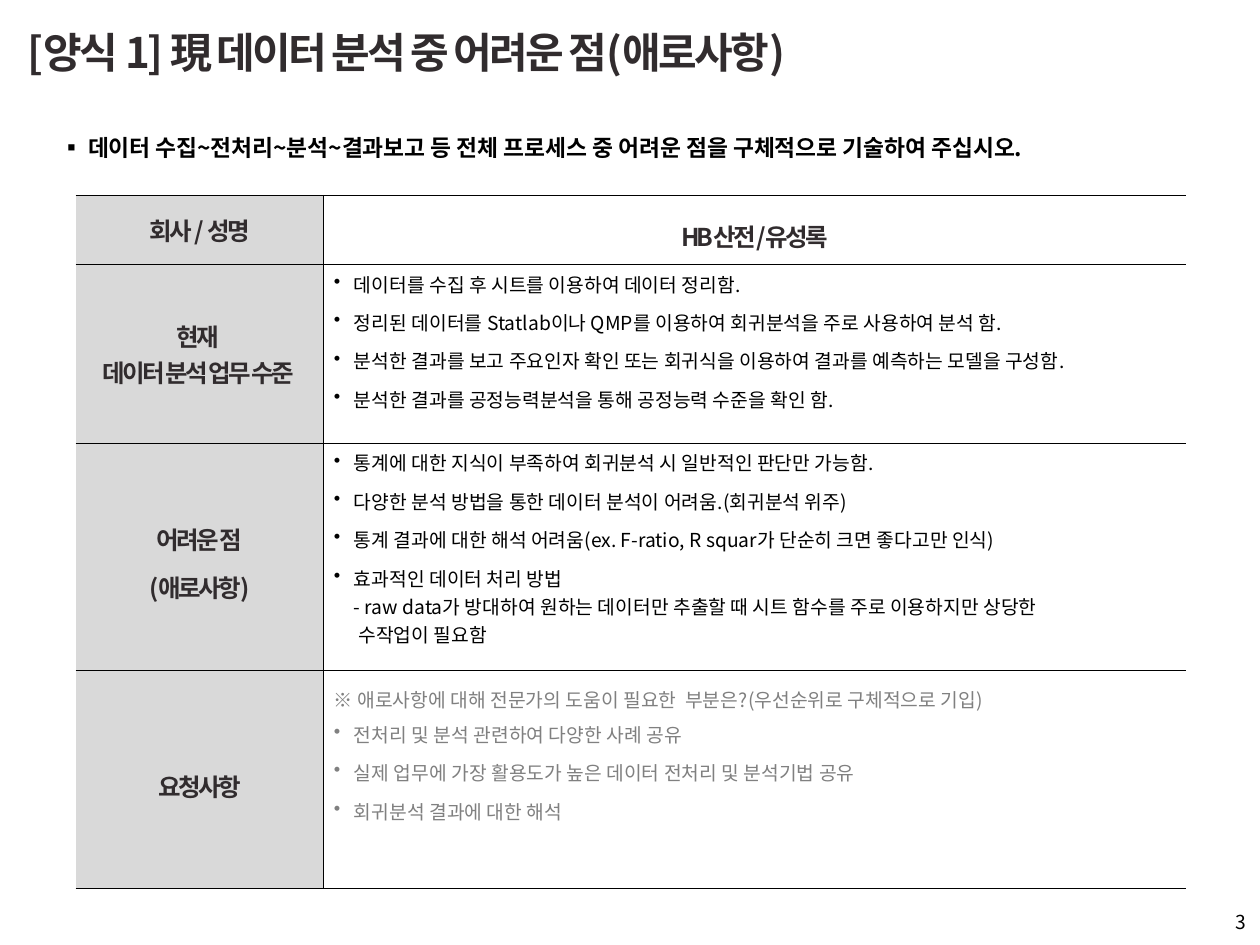
import lxml.etree
import pptx
import pptx.dml.color
import pptx.enum.text
import pptx.oxml.ns
import pptx.util

Inches = pptx.util.Inches
Pt = pptx.util.Pt
qn = pptx.oxml.ns.qn
ALIGN = pptx.enum.text.PP_ALIGN
ANCHOR = pptx.enum.text.MSO_ANCHOR

COLORS = {"ink": "312C2E", "black": "000000", "gray": "808080", "label": "D9D9D9"}
HEADING = {"size": 14, "color": "ink", "bold": True, "spacing": -1.5}
BODY = {"size": 11, "color": "black"}
REQUEST = {"size": 11, "color": "gray"}

LEVEL_POINTS = [
    "데이터를 수집 후 시트를 이용하여 데이터 정리함.",
    "정리된 데이터를 Statlab이나 QMP를 이용하여 회귀분석을 주로 사용하여 분석 함.",
    "분석한 결과를 보고 주요인자 확인 또는 회귀식을 이용하여 결과를 예측하는 모델을 구성함.",
    "분석한 결과를 공정능력분석을 통해 공정능력 수준을 확인 함.",
]
DIFFICULTIES = [
    "통계에 대한 지식이 부족하여 회귀분석 시 일반적인 판단만 가능함.",
    "다양한 분석 방법을 통한 데이터 분석이 어려움.(회귀분석 위주)",
    "통계 결과에 대한 해석 어려움(ex. F-ratio, R squar가 단순히 크면 좋다고만 인식)",
    "효과적인 데이터 처리 방법\n"
    "- raw data가 방대하여 원하는 데이터만 추출할 때 시트 함수를 주로 이용하지만 상당한\n"
    " 수작업이 필요함",
]
REQUEST_NOTE = "※ 애로사항에 대해 전문가의 도움이 필요한  부분은?(우선순위로 구체적으로 기입)"
REQUESTS = [
    "전처리 및 분석 관련하여 다양한 사례 공유",
    "실제 업무에 가장 활용도가 높은 데이터 전처리 및 분석기법 공유",
    "회귀분석 결과에 대한 해석",
]


class SlideBuilder:
    font = "Noto Sans CJK KR"

    def __init__(self, page):
        self.page = page

    def add_span(self, para, text, size, color, bold=False, spacing=0):
        span = para.add_run()
        span.text = text
        span.font.name = self.font
        span.font.size = Pt(size)
        span.font.bold = bold
        span.font.color.rgb = pptx.dml.color.RGBColor.from_string(COLORS[color])
        props = span._r.get_or_add_rPr()
        props.set("spc", str(int(spacing * 100)))
        latin = props.find(qn("a:latin"))
        east_asian = latin.makeelement(qn("a:ea"), {"typeface": self.font})
        latin.addnext(east_asian)

    def add_para(self, frame, text, style, align=ALIGN.LEFT, leading=None, bullet=False):
        """Fill the empty first paragraph of the frame, or append a new one."""
        first = len(frame.paragraphs) == 1 and not frame.paragraphs[0].runs
        para = frame.paragraphs[0] if first else frame.add_paragraph()
        if bullet:
            props = para._p.get_or_add_pPr()
            props.set("marL", str(Inches(0.16)))
            props.set("indent", str(-Inches(0.16)))
            lxml.etree.SubElement(props, qn("a:buChar"), char="•")
            para.space_before = Pt(0 if first else 4)
            para.space_after = Pt(2)
        para.alignment = align
        if leading:
            para.line_spacing = leading
        for index, line in enumerate(text.split("\n")):
            if index:
                para.add_line_break()
            self.add_span(para, line, **style)

    def add_bullets(self, frame, lines, style):
        for line in lines:
            self.add_para(frame, line, style, bullet=True)

    def place(self, box, left, top, width, height, anchor):
        box.left, box.top = Inches(left), Inches(top)
        box.width, box.height = Inches(width), Inches(height)
        frame = box.text_frame
        frame.word_wrap = True
        frame.auto_size = pptx.enum.text.MSO_AUTO_SIZE.NONE
        frame.vertical_anchor = anchor
        return frame

    def add_title(self, text, *bounds):
        frame = self.place(self.page.shapes.title, *bounds, ANCHOR.MIDDLE)
        self.add_para(frame, text, {**HEADING, "size": 24})

    def add_text(self, text, style, *bounds, anchor=ANCHOR.TOP, **layout):
        box = self.page.shapes.add_textbox(0, 0, 0, 0)
        self.add_para(self.place(box, *bounds, anchor), text, style, **layout)

    def add_table(self, left, top, widths, heights):
        table = self.page.shapes.add_table(
            len(heights), len(widths), Inches(left), Inches(top),
            Inches(sum(widths)), Inches(sum(heights))).table
        table.first_row = table.horz_banding = False
        for column, width in zip(table.columns, widths):
            column.width = Inches(width)
        for row, height in zip(table.rows, heights):
            row.height = Inches(height)
            self.format_cell(row.cells[0], 0.07, 0.02, "RTB", "label")
            self.format_cell(row.cells[1], 0.08, 0.04, "LTB")
            row.cells[0].vertical_anchor = ANCHOR.MIDDLE
        return table

    def format_cell(self, cell, side, edge, borders, fill=None):
        cell.margin_left = cell.margin_right = Inches(side)
        cell.margin_top = cell.margin_bottom = Inches(edge)
        props = cell._tc.get_or_add_tcPr()
        for name in "LRTB":
            line = lxml.etree.SubElement(props, qn("a:ln" + name), w=str(Pt(0.75)))
            if name in borders:
                solid = lxml.etree.SubElement(line, qn("a:solidFill"))
                lxml.etree.SubElement(solid, qn("a:srgbClr"), val=COLORS["black"])
            else:
                lxml.etree.SubElement(line, qn("a:noFill"))
        if fill:
            cell.fill.solid()
            cell.fill.fore_color.rgb = pptx.dml.color.RGBColor.from_string(COLORS[fill])
        else:
            cell.fill.background()


def main():
    deck = pptx.Presentation()
    deck.slide_width, deck.slide_height = Inches(10), Inches(7.5)
    builder = SlideBuilder(deck.slides.add_slide(deck.slide_layouts[5]))

    builder.add_title("[양식 1] 現 데이터 분석 중 어려운 점(애로사항)", 0.12, 0.13, 7.61, 0.56)
    builder.add_text(
        "▪ 데이터 수집~전처리~분석~결과보고 등 전체 프로세스 중 어려운 점을 구체적으로 기술하여 주십시오.",
        {"size": 13, "color": "black", "bold": True}, 0.38, 0.97, 9.5, 0.36, leading=1.2)

    table = builder.add_table(0.6, 1.55, [1.97, 6.84], [0.55, 1.42, 1.8, 1.73])
    labels = [(["회사 / 성명"], None), (["현재 ", "데이터 분석 업무 수준 "], None),
              (["어려운 점\n(애로사항)"], 1.35), (["요청사항"], 1.35)]
    for row, (lines, leading) in enumerate(labels):
        for line in lines:
            builder.add_para(table.cell(row, 0).text_frame, line, HEADING,
                             ALIGN.CENTER, leading)

    author, level, difficulty, request = [table.cell(row, 1) for row in range(4)]
    author.vertical_anchor = ANCHOR.MIDDLE
    builder.add_para(author.text_frame, "HB산전/유성록", HEADING, ALIGN.CENTER, 1.35)
    builder.add_bullets(level.text_frame, LEVEL_POINTS, BODY)
    builder.add_bullets(difficulty.text_frame, DIFFICULTIES, BODY)
    builder.add_para(request.text_frame, REQUEST_NOTE, REQUEST, leading=1.35)
    builder.add_bullets(request.text_frame, REQUESTS, REQUEST)

    builder.add_text("3", BODY, 9.49, 7.12, 0.5, 0.4, anchor=ANCHOR.MIDDLE, align=ALIGN.RIGHT)
    deck.save("out.pptx")


if __name__ == "__main__":
    main()
